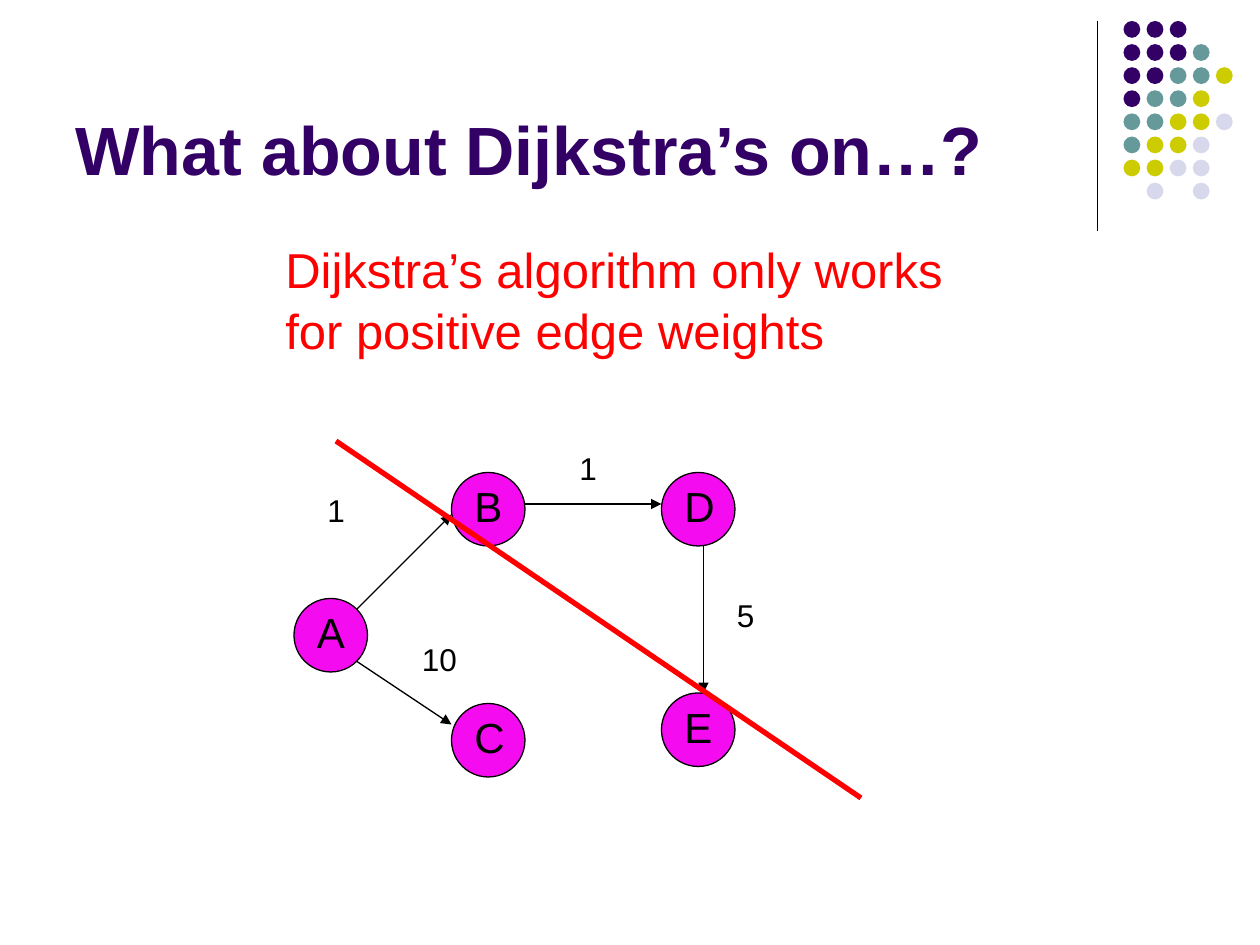
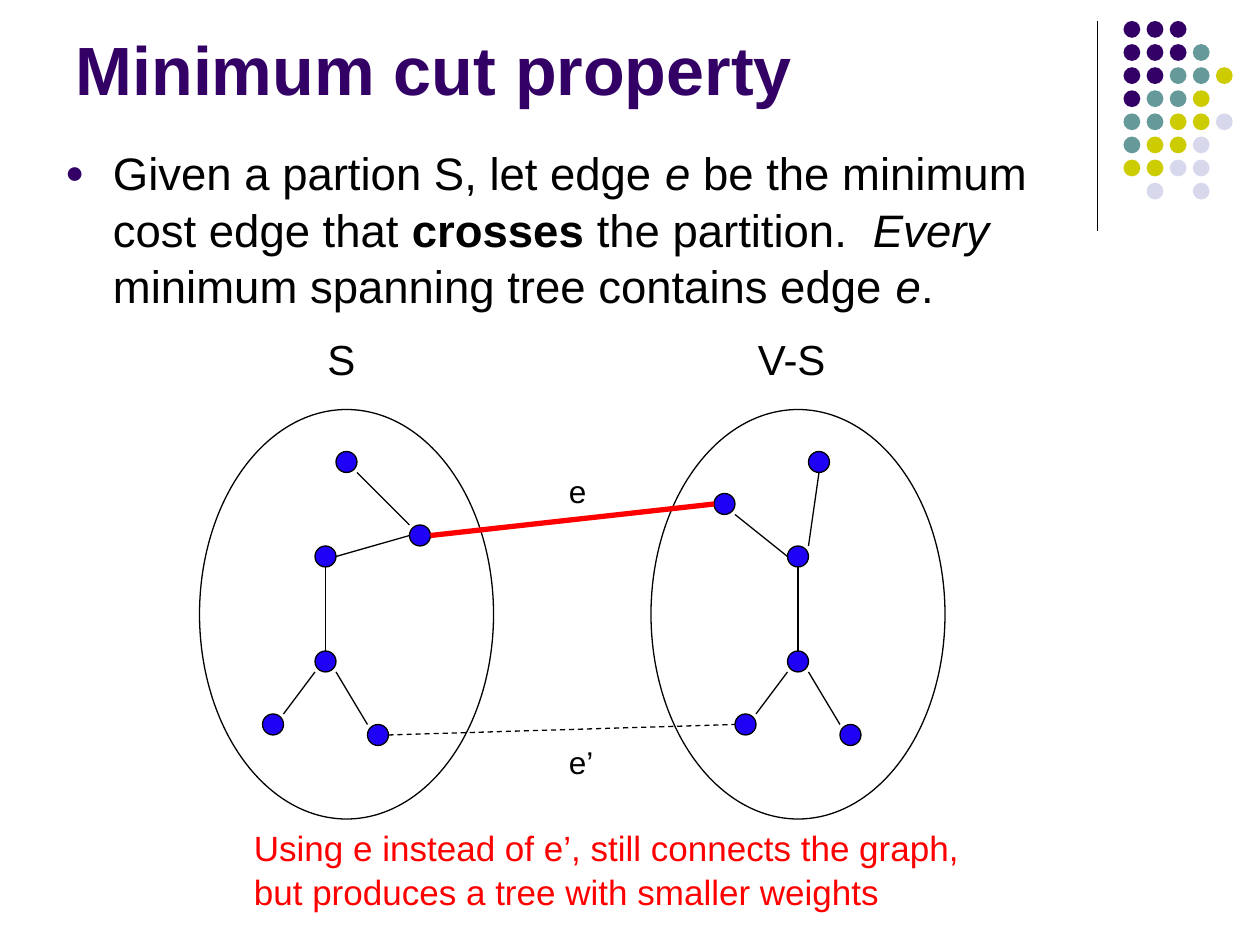
from lxml import etree
from pptx import Presentation
from pptx import util as u
from pptx.dml.color import RGBColor
from pptx.enum import dml, shapes, text
from pptx.oxml.ns import qn

COLUMNS, ROWS = 120, 90
CELL = u.Inches(10) // COLUMNS

FONT = "Arial"
BLACK = RGBColor(0x00, 0x00, 0x00)
PURPLE = RGBColor(0x33, 0x00, 0x66)
TEAL = RGBColor(0x66, 0x99, 0x99)
OLIVE = RGBColor(0xCC, 0xCC, 0x00)
LAVENDER = RGBColor(0xD8, 0xD8, 0xEC)
RED = RGBColor(0xFF, 0x00, 0x00)
MAGENTA = RGBColor(0xF5, 0x0B, 0xEF)
BLUE = RGBColor(0x1F, 0x02, 0xF6)

DOT_COLORS = {"P": PURPLE, "T": TEAL, "O": OLIVE, "L": LAVENDER}
DOT_ROWS = ["PPP", "PPPT", "PPTTO", "PTTO", "TTOOL", "TOOL", "OOLL", " L L"]

NODE_SIZE = 7
VERTEX_SIZE = 2


def grid(*cells):
    return [round(cell * CELL) for cell in cells]


def add_node(parent, left, top, width, height, fill=None, line=BLACK):
    node = parent.shapes.add_shape(shapes.MSO_SHAPE.OVAL, *grid(left, top, width, height))
    node.shadow.inherit = False
    if fill is None:
        node.fill.background()
    else:
        node.fill.solid()
        node.fill.fore_color.rgb = fill
    if line is None:
        node.line.fill.background()
    else:
        node.line.color.rgb = line
        node.line.width = u.Pt(0.75)
    return node


def add_edge(parent, start, end, color=BLACK, width=0.75, dashed=False, arrow=False):
    edge = parent.shapes.add_connector(shapes.MSO_CONNECTOR.STRAIGHT, *grid(*start, *end))
    edge.line.color.rgb = color
    edge.line.width = u.Pt(width)
    if dashed:
        edge.line.dash_style = dml.MSO_LINE.DASH
    properties = edge.element.spPr
    if arrow:
        etree.SubElement(properties.find(qn("a:ln")), qn("a:tailEnd"), type="triangle")
    etree.SubElement(properties, qn("a:effectLst"))
    return edge


def write_text(shape, *spans, size, color=BLACK, bold=False, anchor=text.MSO_ANCHOR.TOP):
    frame = shape.text_frame
    frame.word_wrap = True
    frame.auto_size = text.MSO_AUTO_SIZE.NONE
    frame.vertical_anchor = anchor
    para = frame.paragraphs[0]
    para.alignment = text.PP_ALIGN.LEFT
    para.line_spacing = 1.04
    para.space_before = u.Pt(0)
    for words, style in spans:
        span = para.add_run()
        span.text = words
        span.font.name = FONT
        span.font.size = u.Pt(size)
        span.font.color.rgb = color
        span.font.bold = bold or style == "bold"
        span.font.italic = style == "italic"
    return para


def add_label(parent, words, left, top, width, height, **style):
    label = parent.shapes.add_textbox(*grid(left, top, width, height))
    write_text(label, (words, None), **style)


def place(shape, left, top, width, height):
    shape.left, shape.top, shape.width, shape.height = grid(left, top, width, height)


def add_page(deck, layout, title, title_height):
    page = deck.slides.add_slide(deck.slide_layouts.get_by_name(layout))
    place(page.shapes.title, 6, 1.6, 99, title_height)
    write_text(page.shapes.title, (title, None), size=39, color=PURPLE, bold=True,
               anchor=text.MSO_ANCHOR.BOTTOM)
    return page


def decorate_master(deck, page, left, top, pitch=2.2, dot_size=1.6):
    corner = page.shapes.add_group_shape()
    add_edge(corner, (left, top), (left, top + 20))
    for row, letters in enumerate(DOT_ROWS):
        for column, letter in enumerate(letters):
            if letter in DOT_COLORS:
                add_node(corner, left + 2.5 + column * pitch, top + row * pitch,
                         dot_size, dot_size, DOT_COLORS[letter], line=None)
    for number, names in enumerate(corner.element.iter(qn("p:cNvPr")), start=20):
        names.set("id", str(number))
    deck.slide_master.shapes.element.append(corner.element)


def add_bullet(para, color, share):
    properties = para._p.get_or_add_pPr()
    properties.set("marL", str(u.Inches(0.38)))
    properties.set("indent", str(-u.Inches(0.38)))
    tint = etree.SubElement(properties, qn("a:buClr"))
    etree.SubElement(tint, qn("a:srgbClr"), val=str(color))
    etree.SubElement(properties, qn("a:buSzPct"), val=str(share * 1000))
    etree.SubElement(properties, qn("a:buFont"), typeface=FONT)
    etree.SubElement(properties, qn("a:buChar"), char="●")


def add_weighted_graph(page, left, top):
    nodes = {"A": (0, 15), "B": (15, 3), "C": (15, 25), "E": (35, 24), "D": (35, 3)}
    edges = [((6, 16), (15, 7)), ((6, 21), (15, 27)),
             ((22, 6), (35, 6)), ((39, 10), (39, 24))]
    weights = [("1", 2, 4), ("1", 26, 0), ("5", 41, 14), ("10", 11, 18.2)]

    def at(x, y):
        return left + x, top + y

    for name, corner in nodes.items():
        x, y = at(*corner)
        group = page.shapes.add_group_shape()
        add_node(group, x, y, NODE_SIZE, NODE_SIZE, MAGENTA)
        add_label(group, name, x + 1, y, 6, 6, size=24)
    for start, end in edges:
        add_edge(page, at(*start), at(*end), arrow=True)
    for weight, x, y in weights:
        add_label(page, weight, *at(x, y), 9, 4.8, size=18)
    add_edge(page, at(4, 0), at(54, 34), color=RED, width=3)


def add_partition(page, left, top, name, name_left, trunk_left, vertices, edges):
    trunk_top = 13
    trunk_vertices = [(0, 0), (0, 10), (-5, 16), (5, 17)]
    trunk_edges = [((-3, 16), (0, 12)), ((5, 17), (2, 12)), ((1, 10), (1, 2))]

    def at(point):
        return left + trunk_left + point[0], top + trunk_top + point[1]

    for vertex in trunk_vertices + vertices:
        add_node(page, *at(vertex), VERTEX_SIZE, VERTEX_SIZE, BLUE)
    for start, end in trunk_edges + edges:
        add_edge(page, at(start), at(end))
    add_node(page, left, top, 28, 39)
    add_label(page, name, left + name_left, top - 8, 12, 6, size=24)


def add_cut(page, left, top):
    add_partition(page, left, top, "S", 11, 11, [(2, -9), (9, -2)],
                  [((2, 1), (9, -1)), ((9, -2), (4, -7))])
    add_partition(page, left + 43, top, "V-S", 9, 13, [(2, -9), (-7, -5)],
                  [((2, 0), (3, -7)), ((0, 1), (-5, -3))])
    add_edge(page, (left + 18, top + 31), (left + 51, top + 30), dashed=True)
    add_label(page, "e’", left + 34, top + 31, 6, 4.8, size=18)
    add_edge(page, (left + 22, top + 12), (left + 49, top + 9), color=RED, width=3)
    add_label(page, "e", left + 34, top + 5.2, 6, 4.8, size=18)


def build_dijkstra_page(deck):
    page = add_page(deck, "Title Only", "What about Dijkstra’s on…?", 17)
    add_weighted_graph(page, 28, 42)
    add_label(page, "Dijkstra’s algorithm only works for positive edge weights",
              26, 22, 66, 12.5, size=28, color=RED)
    return page


def build_cut_page(deck):
    page = add_page(deck, "Title and Content", "Minimum cut property", 9.4)
    body = page.placeholders[1]
    place(body, 5, 13, 98, 17.4)
    para = write_text(
        body,
        ("Given a partion S, let edge ", None), ("e", "italic"),
        (" be the minimum cost edge that ", None), ("crosses", "bold"),
        (" the partition.  ", None), ("Every", "italic"),
        (" minimum spanning tree contains edge ", None), ("e", "italic"), (".", None),
        size=26)
    add_bullet(para, PURPLE, 70)
    add_cut(page, 19, 39)
    add_label(page, "Using e instead of e’, still connects the graph, "
              "but produces a tree with smaller weights",
              23, 78, 70, 9.2, size=20, color=RED)


def main():
    deck = Presentation()
    deck.slide_width, deck.slide_height = grid(COLUMNS, ROWS)
    first_page = build_dijkstra_page(deck)
    decorate_master(deck, first_page, 104.5, 2)
    build_cut_page(deck)
    deck.save("out.pptx")


if __name__ == "__main__":
    main()
